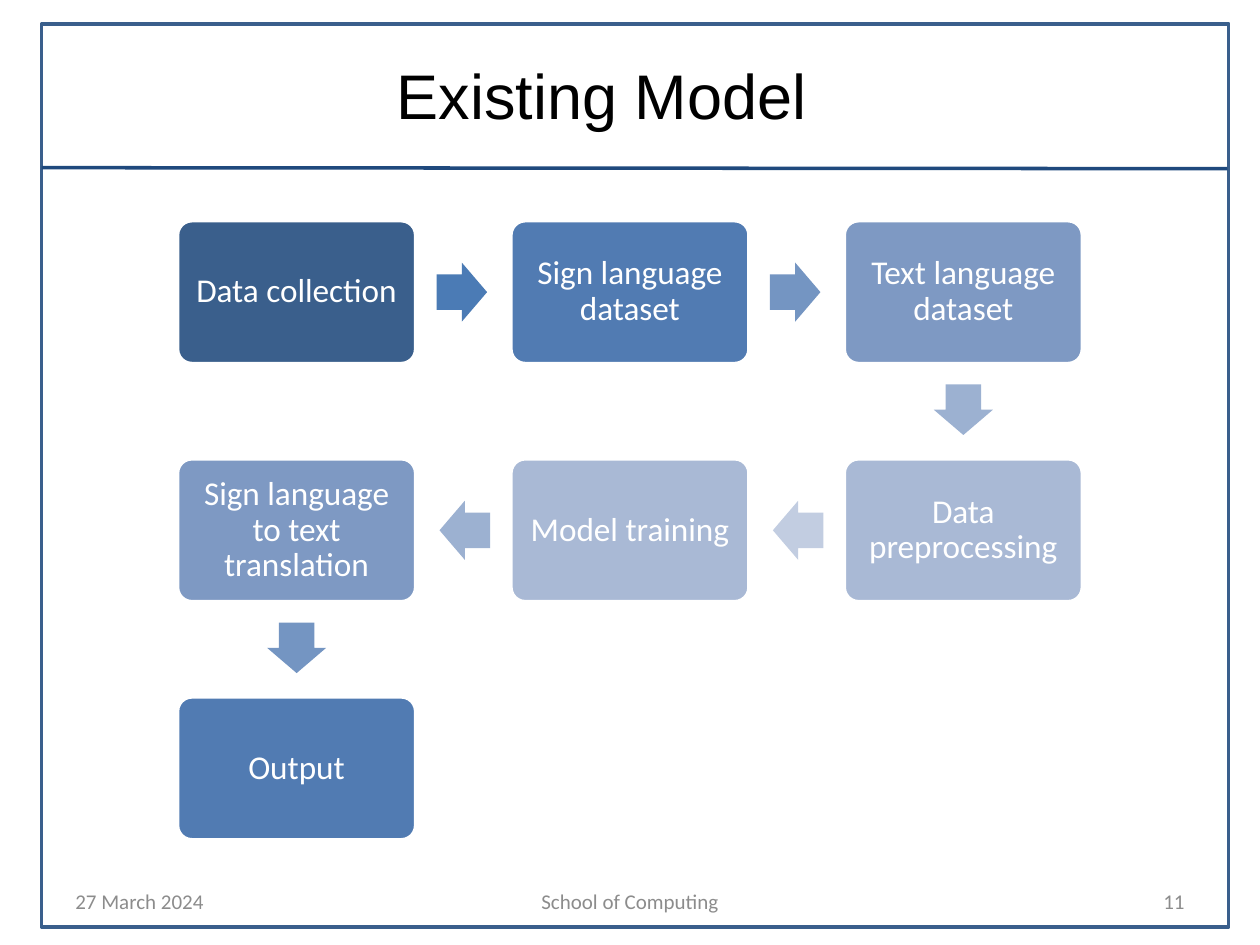
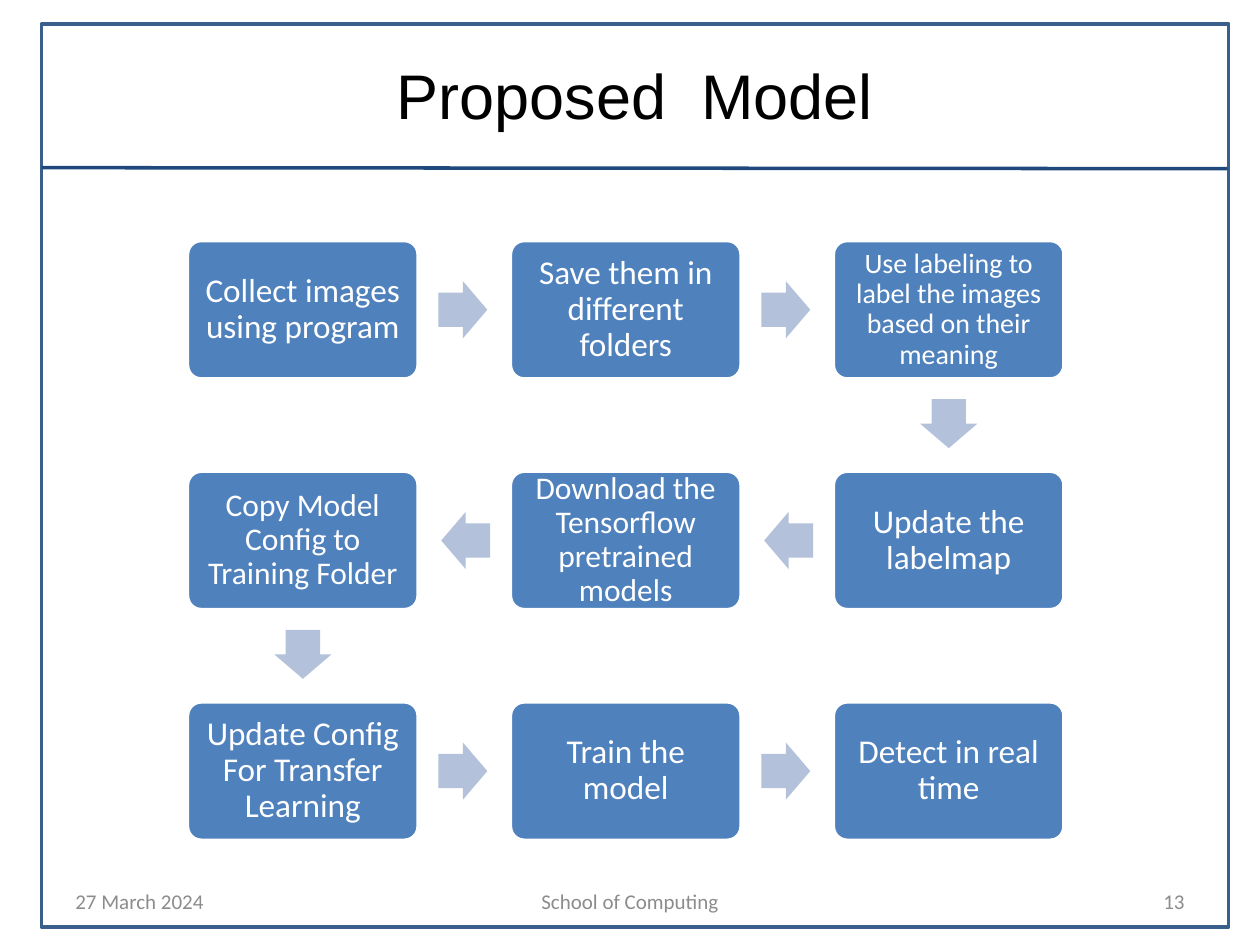
from lxml import etree
from pptx import Presentation
from pptx.dml.color import RGBColor
from pptx.enum import shapes, text
from pptx.oxml import ns
from pptx.util import Cm, Pt

# Content: (label, text size, box colour, colour of the arrow leading on)
WHITE = RGBColor(0xFF, 0xFF, 0xFF)
BLACK = RGBColor(0, 0, 0)
FOOTER_GREY = RGBColor(0x8C, 0x8C, 0x8C)
RULE_BLUE = RGBColor(0x1F, 0x49, 0x7D)
DEEP = RGBColor(0x3A, 0x5F, 0x8C)
STRONG = RGBColor(0x51, 0x7B, 0xB2)
MEDIUM = RGBColor(0x7E, 0x99, 0xC3)
LIGHT = RGBColor(0xA9, 0xB9, 0xD5)
ARROW_STRONG = RGBColor(0x4B, 0x7B, 0xB5)
ARROW_MEDIUM = RGBColor(0x74, 0x95, 0xC2)
ARROW_LIGHT = RGBColor(0x9C, 0xB1, 0xD1)
ARROW_PALE = RGBColor(0xC2, 0xCD, 0xE1)
PLAIN = RGBColor(0x4F, 0x81, 0xBD)
ARROW_PLAIN = RGBColor(0xB3, 0xC1, 0xDB)

EXISTING_STEPS = [
    ("Data collection", 19, DEEP, ARROW_STRONG),
    ("Sign language dataset", 19, STRONG, ARROW_MEDIUM),
    ("Text language dataset", 19, MEDIUM, ARROW_LIGHT),
    ("Data preprocessing", 19, LIGHT, ARROW_PALE),
    ("Model training", 19, LIGHT, ARROW_LIGHT),
    ("Sign language to text translation", 19, MEDIUM, ARROW_MEDIUM),
    ("Output", 19, STRONG, None),
]
PROPOSED_STEPS = [(label, size, PLAIN, ARROW_PLAIN) for label, size in (
    ("Collect images using program", 19),
    ("Save them in different folders", 19),
    ("Use labeling to label the images based on their meaning", 16),
    ("Update the labelmap", 19),
    ("Download the Tensorflow pretrained models", 18),
    ("Copy Model Config to Training Folder", 18),
    ("Update Config For Transfer Learning", 19),
    ("Train the model", 19),
    ("Detect in real time", 19),
)]
# Flow position and box width are in cm
SLIDES = [
    dict(title="Existing Model", number="11", steps=EXISTING_STEPS,
         left=3.58, top=4.45, box_width=4.8),
    dict(title="Proposed  Model", number="13", steps=PROPOSED_STEPS,
         left=3.78, top=4.85, box_width=4.65),
]
DATE = "27 March 2024"
SCHOOL = "School of Computing"

# Flow proportions, relative to the box width
COLUMNS = 3
BOX_HEIGHT = 0.6
GAP = 0.4
ARROW_LENGTH, ARROW_SPAN = 0.212, 0.248
ARROW_CENTRE = 0.194  # distance from the box it leaves


def write(frame, words, size, font, colour, align):
    frame.word_wrap = True
    frame.vertical_anchor = text.MSO_ANCHOR.MIDDLE
    line = frame.paragraphs[0]
    line.text = words
    line.alignment = align
    line.font.size = Pt(size)
    line.font.name = font
    line.font.color.rgb = colour
    return line


def add_text(slide, place, *style):
    box = slide.shapes.add_textbox(*map(Cm, place))
    write(box.text_frame, *style)


def add_filled(slide, kind, place, colour):
    part = slide.shapes.add_shape(kind, *map(Cm, place))
    part.shadow.inherit = False
    part.fill.solid()
    part.fill.fore_color.rgb = colour
    return part


def add_base(slide, title, number):
    # Frame and rule below the title
    frame = slide.shapes.add_shape(shapes.MSO_SHAPE.RECTANGLE,
                                   Cm(0.84), Cm(0.48), Cm(23.93), Cm(18.21))
    frame.shadow.inherit = False
    frame.fill.background()
    frame.line.color.rgb = DEEP
    frame.line.width = Pt(2)
    rule = slide.shapes.add_connector(shapes.MSO_CONNECTOR.STRAIGHT,
                                      Cm(0.84), Cm(3.38), Cm(24.74), Cm(3.4))
    rule.line.color.rgb = RULE_BLUE
    rule.line.width = Pt(2)
    etree.SubElement(rule.element.spPr, ns.qn("a:effectLst"))

    # Title and footer
    align = text.PP_ALIGN
    add_text(slide, (7.75, 1.06, 16.18, 1.7), title, 36, "Arial", BLACK, align.LEFT)
    for left, width, words, side in (
        (1.27, 5.93, DATE, align.LEFT),
        (8.68, 8.04, SCHOOL, align.CENTER),
        (18.2, 5.93, number, align.RIGHT),
    ):
        add_text(slide, (left, 17.66, width, 1.01), words, 12, "Calibri",
                 FOOTER_GREY, side)


def add_step(slide, centre, width, label, size, colour):
    x, y = centre
    height = width * BOX_HEIGHT
    box = add_filled(slide, shapes.MSO_SHAPE.ROUNDED_RECTANGLE,
                     (x - width / 2, y - height / 2, width, height), colour)
    box.adjustments[0] = 0.1
    box.line.color.rgb = WHITE
    box.line.width = Pt(2)
    frame = box.text_frame
    frame.margin_left = frame.margin_right = Cm(0.2)
    frame.margin_top = frame.margin_bottom = Cm(0.2)
    line = write(frame, label, size, "Calibri", WHITE, text.PP_ALIGN.CENTER)
    line.line_spacing = 0.9


def add_arrow(slide, start, end, width, colour):
    # The flow turns down at each row end, otherwise it runs sideways
    (x, y), (next_x, next_y) = start, end
    if next_y > y:
        y += width * (BOX_HEIGHT / 2 + ARROW_CENTRE)
        turn = 90
    else:
        reach = width * (0.5 + ARROW_CENTRE)
        x, turn = (x + reach, 0) if next_x > x else (x - reach, 180)
    length, span = width * ARROW_LENGTH, width * ARROW_SPAN
    arrow = add_filled(slide, shapes.MSO_SHAPE.RIGHT_ARROW,
                       (x - length / 2, y - span / 2, length, span), colour)
    arrow.adjustments[0], arrow.adjustments[1] = 0.6, 0.5
    arrow.line.fill.background()
    arrow.rotation = turn


def add_flow(slide, steps, left, top, width):
    # Rows run alternately rightwards and leftwards
    centres = []
    for i in range(len(steps)):
        row, column = divmod(i, COLUMNS)
        if row % 2:
            column = COLUMNS - 1 - column
        centres.append((left + width * (0.5 + column * (1 + GAP)),
                        top + width * (BOX_HEIGHT / 2 + row * (BOX_HEIGHT + GAP))))
    for i, (label, size, colour, arrow_colour) in enumerate(steps):
        add_step(slide, centres[i], width, label, size, colour)
        if i + 1 < len(steps):
            add_arrow(slide, centres[i], centres[i + 1], width, arrow_colour)


def main():
    deck = Presentation()
    deck.slide_width, deck.slide_height = Cm(25.4), Cm(19.05)
    for page in SLIDES:
        slide = deck.slides.add_slide(deck.slide_layouts[6])
        add_base(slide, page["title"], page["number"])
        add_flow(slide, page["steps"], page["left"], page["top"], page["box_width"])
    deck.save("out.pptx")


if __name__ == "__main__":
    main()
